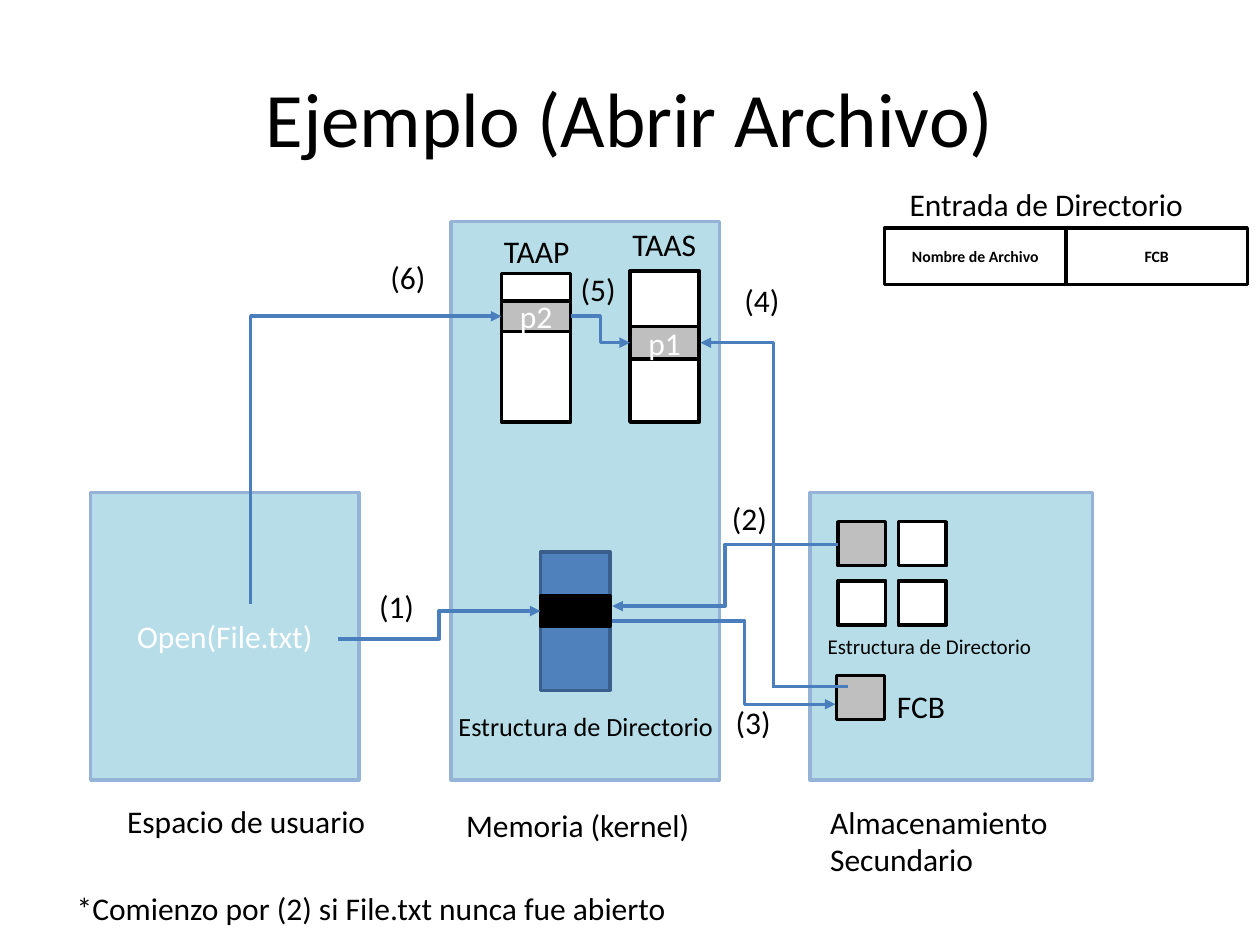
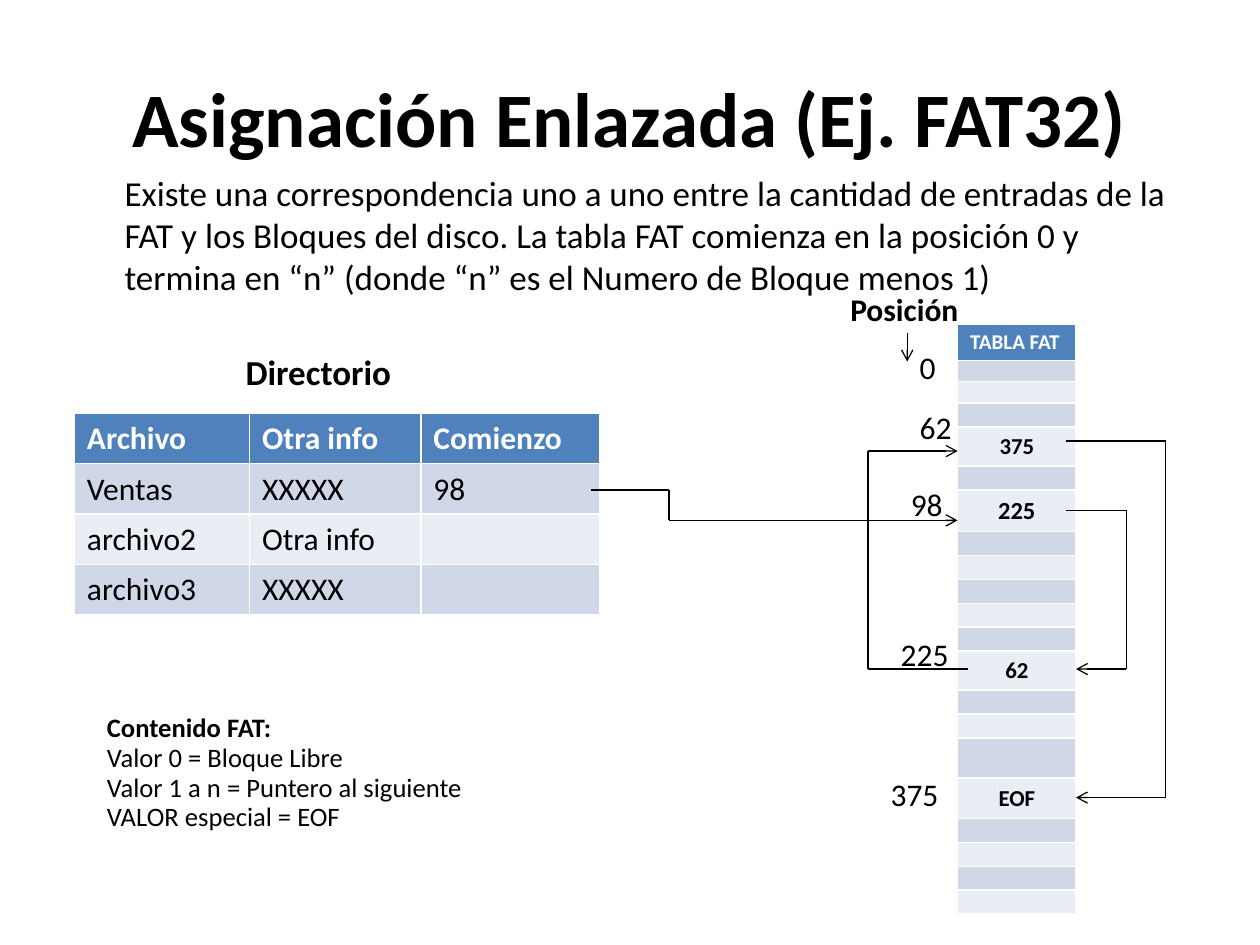
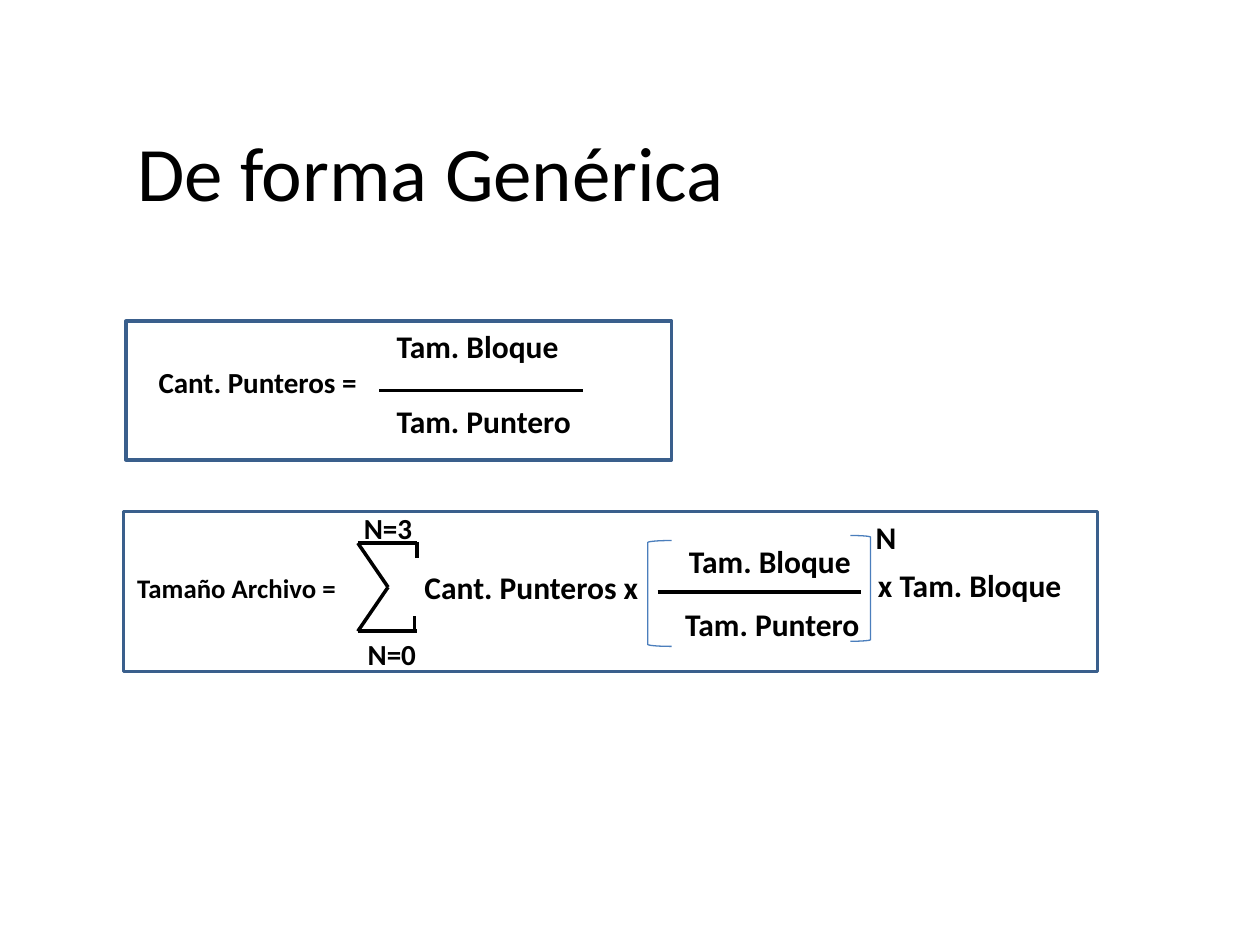
"""Builds three slides on opening files, FAT linked allocation and pointer formulas."""
from lxml import etree
from pptx import Presentation
from pptx.dml.color import RGBColor
from pptx.enum.shapes import MSO_CONNECTOR, MSO_SHAPE
from pptx.enum.text import MSO_ANCHOR, PP_ALIGN
from pptx.oxml.ns import qn
from pptx.util import Pt

PX = 9144
FONT = "Calibri"
COLORS = {
    "black": "000000", "white": "FFFFFF", "gray": "BFBFBF",
    "area": "B7DEE8", "area_edge": "95B3D7", "blue": "4F81BD",
    "blue_edge": "3A5F8C", "arrow": "4B7EBC",
    "band_dark": "D0D8E8", "band_light": "E9EDF4",
}
RGB = {name: RGBColor.from_string(value) for name, value in COLORS.items()}


def add_box(slide, frame, text="", size=18, color="black", bold=False, centered=False,
            middle=False, fill=None, edge=None, edge_width=2, preset=MSO_SHAPE.RECTANGLE):
    """Adds a text box, or a preset shape when an edge colour is given."""
    lengths = [value * PX for value in frame]
    if edge:
        shape = slide.shapes.add_shape(preset, *lengths)
        shape.shadow.inherit = False
        shape.line.color.rgb = RGB[edge]
        shape.line.width = Pt(edge_width)
        if fill:
            shape.fill.solid()
            shape.fill.fore_color.rgb = RGB[fill]
        else:
            shape.fill.background()
    else:
        shape = slide.shapes.add_textbox(*lengths)
    text_frame = shape.text_frame
    text_frame.word_wrap = True
    text_frame.vertical_anchor = MSO_ANCHOR.MIDDLE if middle or edge else MSO_ANCHOR.TOP
    text_frame.text = text
    for paragraph in text_frame.paragraphs:
        paragraph.alignment = PP_ALIGN.CENTER if centered or edge else PP_ALIGN.LEFT
        for run in paragraph.runs:
            run.font.name = FONT
            run.font.size = Pt(size)
            run.font.bold = bold
            run.font.color.rgb = RGB[color]
    return shape


def add_line(slide, points, color="black", width=2, arrow=None, end="tailEnd",
             preset="line", bend=50000):
    """Adds a straight or bent connector from the first point to the second."""
    kind = MSO_CONNECTOR.STRAIGHT if preset == "line" else MSO_CONNECTOR.ELBOW
    connector = slide.shapes.add_connector(kind, *[value * PX for value in points])
    connector.line.color.rgb = RGB[color]
    connector.line.width = Pt(width)
    properties = connector._element.spPr
    if preset != "line":
        geometry = properties.find(qn("a:prstGeom"))
        geometry.set("prst", preset)
        if preset == "bentConnector3":
            guides = geometry.find(qn("a:avLst"))
            etree.SubElement(guides, qn("a:gd"), name="adj1", fmla=f"val {bend}")
    if arrow:
        etree.SubElement(properties.find(qn("a:ln")), qn(f"a:{end}"), type=arrow)
    etree.SubElement(properties, qn("a:effectLst"))


presentation = Presentation()
presentation.slide_width = 1000 * PX
presentation.slide_height = 750 * PX
blank_layout = presentation.slide_layouts[6]

titles = [
    ("Ejemplo (Abrir Archivo)", (50, 30, 900, 125), False, True),
    ("Asignación Enlazada (Ej. FAT32)", (50, 30, 900, 125), True, True),
    ("De forma Genérica", (99, 73, 687, 125), False, False),
]
slides = []
for text, frame, bold, centered in titles:
    slide = presentation.slides.add_slide(blank_layout)
    add_box(slide, frame, text, 44, bold=bold, centered=centered, middle=True)
    slides.append(slide)
open_slide, fat_slide, formula_slide = slides

areas = [
    ((72, 391, 213, 228), "Open(File.txt)"),
    ((358, 176, 213, 443), ""),
    ((643, 391, 224, 228), ""),
]
for frame, text in areas:
    add_box(open_slide, frame, text, color="white", fill="area", edge="area_edge")

add_box(open_slide, (429, 438, 55, 110), fill="blue", edge="blue_edge")
blocks = [
    ((429, 473, 55, 24), "black", ""),
    ((500, 215, 55, 120), "white", ""),
    ((398, 217, 55, 118), "white", ""),
    ((398, 239, 55, 24), "gray", "p2"),
    ((500, 259, 55, 26), "gray", "p1"),
    ((664, 536, 38, 35), "gray", ""),
]
for row in range(2):
    for column in range(2):
        fill = "gray" if row == column == 0 else "white"
        blocks.append(((665 + 48 * column, 414 + 47 * row, 38, 35), fill, ""))
for frame, fill, text in blocks:
    add_box(open_slide, frame, text, color="white", fill=fill, edge="black")

for column, text in enumerate(["Nombre de Archivo", "FCB"]):
    add_box(open_slide, (702 + 144 * column, 181, 144, 45), text, 9, bold=True,
            fill="white", edge="black")

bent_arrows = [
    ((268, 507, 429, 485), 50000),
    ((486, 493, 663, 559), 59300),
    ((665, 432, 486, 481), 50000),
    ((453, 251, 500, 272), 50000),
]
for points, bend in bent_arrows:
    add_line(open_slide, points, "arrow", arrow="triangle", preset="bentConnector3", bend=bend)
for points in [(556, 272, 614, 545), (398, 251, 199, 479)]:
    add_line(open_slide, points, "arrow", arrow="triangle", end="headEnd",
             preset="bentConnector2")
add_line(open_slide, (613, 545, 673, 545), "arrow", 1.75)

open_labels = [
    ((91, 632, 218, 40), "Espacio de usuario", 18),
    ((360, 635, 211, 40), "Memoria (kernel)", 18),
    ((649, 632, 218, 71), "Almacenamiento Secundario", 18),
    ((354, 559, 241, 35), "Estructura de Directorio", 15),
    ((647, 498, 262, 30), "Estructura de Directorio", 12),
    ((390, 179, 72, 40), "TAAP", 18),
    ((492, 174, 72, 40), "TAAS", 18),
    ((702, 540, 68, 40), "FCB", 18),
    ((712, 142, 262, 40), "Entrada de Directorio", 18),
    ((51, 701, 535, 40), "*Comienzo por (2) si File.txt nunca fue abierto", 18),
]
step_places = [(291, 461), (571, 391), (574, 553), (581, 218), (451, 209), (300, 200)]
for number, (left, top) in enumerate(step_places, 1):
    open_labels.append(((left, top, 48, 40), f"({number})", 18))
for frame, text, size in open_labels:
    add_box(open_slide, frame, text, size)

add_box(
    fat_slide, (89, 131, 852, 118),
    "Existe una correspondencia uno a uno entre la cantidad de entradas de la FAT y los "
    "Bloques del disco. La tabla FAT comienza en la posición 0 y termina en “n” (donde “n” "
    "es el Numero de Bloque menos 1)", 20)

directory_rows = [
    ["Archivo", "Otra info", "Comienzo"],
    ["Ventas", "XXXXX", "98"],
    ["archivo2", "Otra info", ""],
    ["archivo3", "XXXXX", ""],
]
fat_values = {0: ("TABLA FAT", 12), 4: ("375", 13), 6: ("225", 14), 12: ("62", 13),
              16: ("EOF", 13)}
fat_rows = [[fat_values.get(row, ("", 6))[0]] for row in range(21)]
fat_heights = [29, 17, 17] + [19] * 18
for row, height in {4: 31, 6: 33, 12: 31, 15: 32, 16: 32}.items():
    fat_heights[row] = height
tables = [
    ((59, 328), [139, 136, 142], [40] * 4, directory_rows, {}),
    ((760, 257), [94], fat_heights, fat_rows, fat_values),
]
for (left, top), widths, heights, rows, values in tables:
    frame = (left, top, sum(widths), sum(heights))
    table = fat_slide.shapes.add_table(
        len(rows), len(widths), *[value * PX for value in frame]).table
    for column, width in enumerate(widths):
        table.columns[column].width = width * PX
    for row, texts in enumerate(rows):
        table.rows[row].height = heights[row] * PX
        for column, text in enumerate(texts):
            cell = table.cell(row, column)
            cell.fill.solid()
            fill = "blue" if row == 0 else "band_dark" if row % 2 else "band_light"
            cell.fill.fore_color.rgb = RGB[fill]
            cell.vertical_anchor = MSO_ANCHOR.MIDDLE if values else MSO_ANCHOR.TOP
            cell.margin_top = cell.margin_bottom = (3 if values else 5) * PX
            size = values.get(row, ("", 6))[1] if values else 18
            paragraph = cell.text_frame.paragraphs[0]
            if not text:
                etree.SubElement(paragraph._p, qn("a:endParaRPr"), sz=str(size * 100))
                continue
            paragraph.text = text
            if values and row:
                paragraph.alignment = PP_ALIGN.CENTER
            font = paragraph.runs[0].font
            font.name = FONT
            font.size = Pt(size)
            font.bold = row == 0 or bool(values)
            font.color.rgb = RGB["black" if row else "white"]

fat_labels = [
    ((185, 273, 189, 44), "Directorio", 20, True),
    ((665, 225, 110, 40), "Posición", 18, True),
    ((720, 271, 55, 40), "0", 18, False),
    ((720, 319, 55, 40), "62", 18, False),
    ((713, 380, 55, 40), "98", 18, False),
    ((705, 499, 63, 40), "225", 18, False),
    ((697, 610, 63, 40), "375", 18, False),
]
for frame, text, size, bold in fat_labels:
    add_box(fat_slide, frame, text, size, bold=bold)

pointer_routes = [
    [(720, 264), (720, 287)],
    [(469, 389), (531, 389), (531, 413), (760, 413)],
    [(846, 405), (894, 405), (894, 531), (854, 531)],
    [(768, 531), (689, 531), (689, 358), (760, 358)],
    [(846, 350), (925, 350), (925, 633), (854, 633)],
]
for route in pointer_routes:
    for start, finish in zip(route, route[1:]):
        add_line(fat_slide, start + finish, width=0.75,
                 arrow="arrow" if finish == route[-1] else None)

contents = add_box(
    fat_slide, (75, 564, 315, 118),
    "Contenido FAT:\nValor 0 = Bloque Libre\nValor 1 a n = Puntero al siguiente\n"
    "VALOR especial = EOF", 15.2)
for paragraph in contents.text_frame.paragraphs:
    paragraph.line_spacing = 0.8
    paragraph.space_before = Pt(2.5)
contents.text_frame.paragraphs[0].runs[0].font.bold = True

for frame in [(100, 255, 433, 110), (98, 406, 773, 127)]:
    add_box(formula_slide, frame, edge="blue_edge")
brackets = [
    ((514, 429, 19, 84), MSO_SHAPE.LEFT_BRACKET),
    ((675, 425, 16, 84), MSO_SHAPE.RIGHT_BRACKET),
]
for frame, preset in brackets:
    add_box(formula_slide, frame, edge="arrow", edge_width=0.75, preset=preset)

formula_terms = [
    ((116, 284, 185, 50), "Cant. Punteros =", 16.6),
    ((305, 255, 177, 50), "Tam. Bloque", 18),
    ((305, 314, 177, 50), "Tam. Puntero", 18),
    ((99, 449, 185, 50), "Tamaño Archivo =", 15.3),
    ((537, 425, 177, 50), "Tam. Bloque", 18),
    ((534, 475, 177, 50), "Tam. Puntero", 18),
    ((685, 406, 51, 50), "N", 18),
    ((687, 444, 177, 50), "x Tam. Bloque", 18),
    ((327, 446, 195, 63), "Cant. Punteros x", 18),
    ((282, 500, 60, 50), "N=0", 16.6),
    ((279, 400, 60, 50), "N=3", 16.6),
]
for frame, text, size in formula_terms:
    add_box(formula_slide, frame, text, size, bold=True)

fraction_bars = [(301, 310, 463, 310), (522, 470, 683, 470)]
sum_sign = [
    (284, 431, 331, 431), (284, 501, 331, 501), (308, 466, 284, 501),
    (308, 466, 284, 431), (331, 443, 331, 430), (329, 501, 329, 489),
]
for points in fraction_bars + sum_sign:
    add_line(formula_slide, points)

presentation.save("out.pptx")
